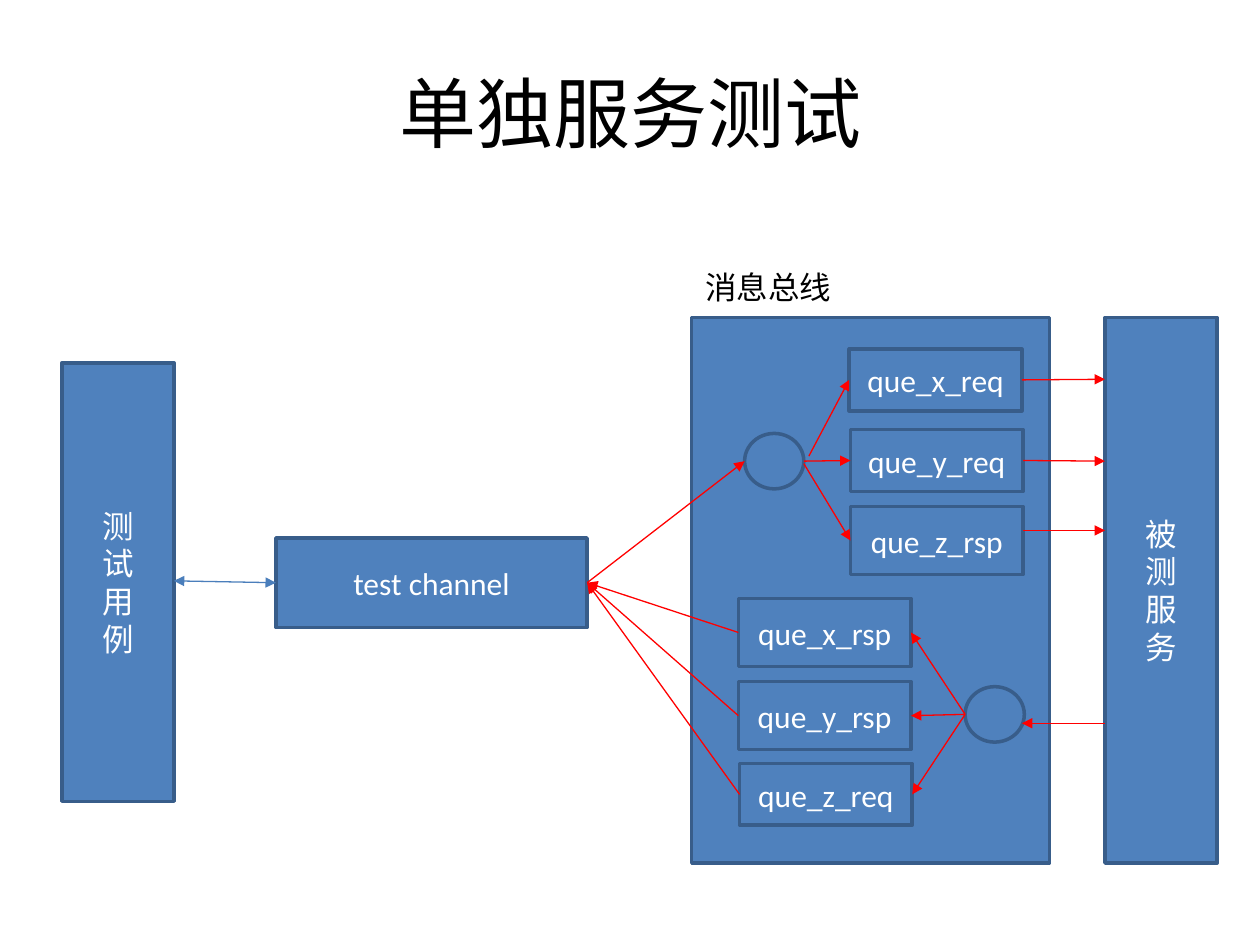
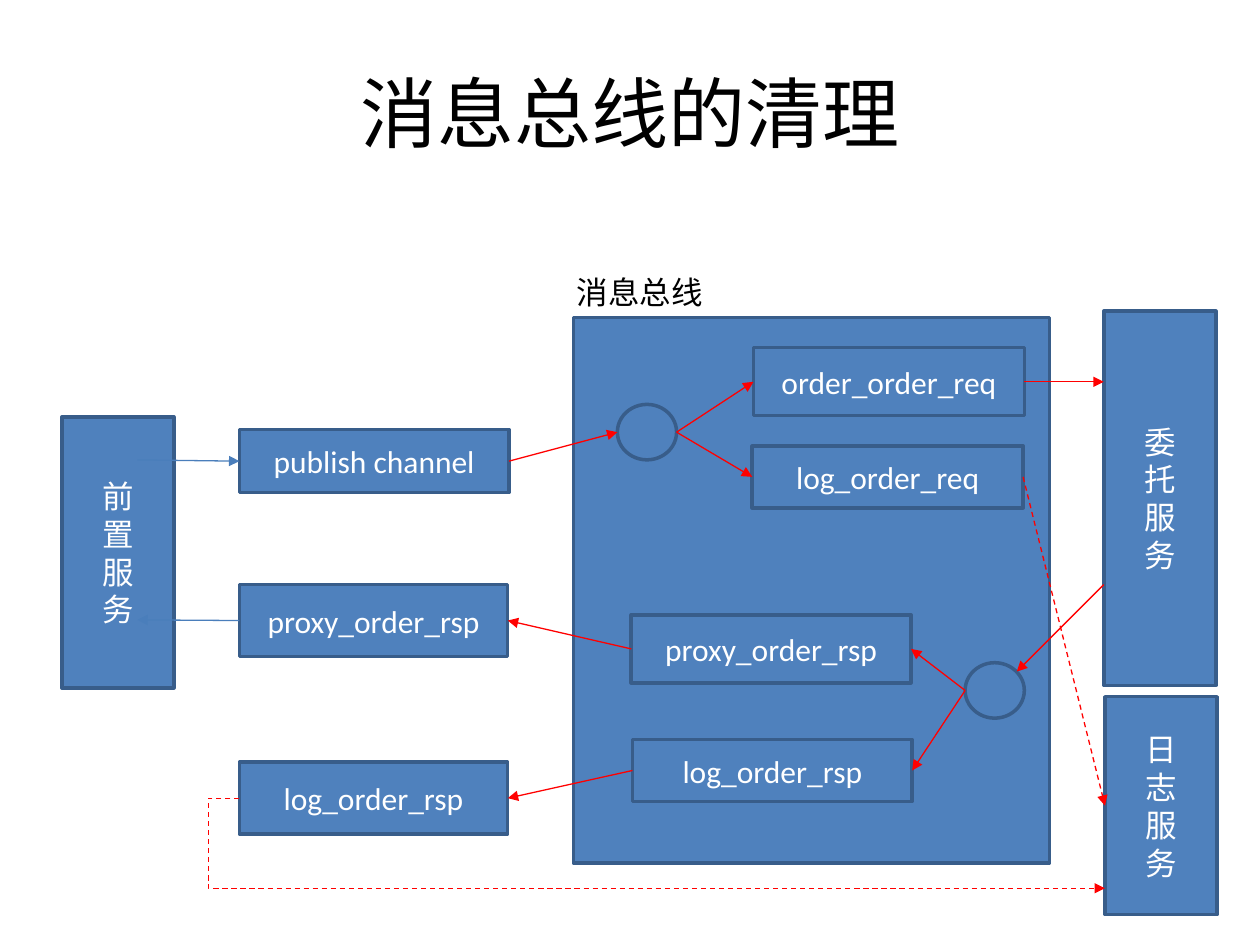
from lxml import etree
from pptx import Presentation
from pptx.dml.color import RGBColor
from pptx.enum.dml import MSO_LINE
from pptx.enum.shapes import MSO_CONNECTOR, MSO_SHAPE
from pptx.enum.text import MSO_ANCHOR, MSO_AUTO_SIZE, PP_ALIGN
from pptx.oxml.ns import qn
from pptx.util import Inches, Pt

RECT, OVAL = MSO_SHAPE.RECTANGLE, MSO_SHAPE.OVAL
LINE, BENT = MSO_CONNECTOR.STRAIGHT, MSO_CONNECTOR.ELBOW
LEFT, MID = PP_ALIGN.LEFT, PP_ALIGN.CENTER

HUES = {"fill": "4F81BD", "edge": "385D8A", "red": "FF0000",
        "blue": "4A7EBB", "white": "FFFFFF", "black": "000000"}
HEAD = (0.69, 0.3, 8.63, 1.17)
DOT = (0.47, 0.44)

SLIDES = [
    {
        "title": "单独服务测试",
        "label": ("消息总线", 5.5, 1.93),
        "boxes": {
            "bus": ("", 5.49, 2.52, 2.84, 4.33),
            "x_rsp": ("que_x_rsp", 5.86, 4.75, 1.37, 0.54),
            "y_rsp": ("que_y_rsp", 5.86, 5.41, 1.37, 0.54),
            "z_req": ("que_z_req", 5.87, 6.06, 1.37, 0.49),
            "x_req": ("que_x_req", 6.74, 2.77, 1.37, 0.49),
            "y_req": ("que_y_req", 6.75, 3.41, 1.37, 0.49),
            "z_rsp": ("que_z_rsp", 6.75, 4.02, 1.37, 0.54),
            "test": ("test channel", 2.19, 4.27, 2.47, 0.71),
            "serve": ("被\n测\n服\n务", 8.77, 2.52, 0.89, 4.33),
            "case": ("测\n试\n用\n例", 0.49, 2.88, 0.89, 3.48),
        },
        "dots": {"in": (5.91, 3.44), "out": (7.66, 5.45)},
        "links": [
            (("serve", "l", 5.74), (8.11, 5.74), "red"),
            (("x_req", "r"), ("serve", "l", 3.01), "red"),
            (("y_req", "r"), ("serve", "l", 3.66), "red"),
            (("z_rsp", "r", 4.21), ("serve", "l", 4.21), "red"),
            (("out", "l"), ("x_rsp", "r"), "red"),
            (("out", "l"), ("y_rsp", "r"), "red"),
            (("out", "l"), ("z_req", "r"), "red"),
            (("in", "r"), ("y_req", "l"), "red"),
            ((6.42, 3.62), ("x_req", "l"), "red"),
            (("in", "r", 3.68), ("z_rsp", "l"), "red"),
            (("test", "r"), ("in", "l"), "red"),
            (("x_rsp", "l"), ("test", "r"), "red"),
            (("y_rsp", "l"), ("test", "r"), "red"),
            (("z_req", "l"), ("test", "r"), "red"),
            (("case", "r", 4.61), ("test", "l"), "blue", "both"),
        ],
    },
    {
        "title": "消息总线的清理",
        "label": ("消息总线", 4.48, 1.97),
        "boxes": {
            "bus": ("", 4.55, 2.52, 3.78, 4.33),
            "proxy": ("proxy_order_rsp", 5.01, 4.88, 2.22, 0.54),
            "log": ("log_order_rsp", 5.02, 5.87, 2.22, 0.49),
            "log_req": ("log_order_req", 5.97, 3.54, 2.15, 0.49),
            "order": ("order_order_req", 5.98, 2.76, 2.15, 0.54),
            "pub": ("publish channel", 1.9, 3.41, 2.14, 0.5),
            "proxy_end": ("proxy_order_rsp", 1.9, 4.64, 2.13, 0.57),
            "log_end": ("log_order_rsp", 1.9, 6.05, 2.13, 0.57),
            "trust": ("委\n托\n服\n务", 8.76, 2.47, 0.89, 2.97),
            "front": ("前\n置\n服\n务", 0.49, 3.31, 0.89, 2.15),
            "audit": ("日\n志\n服\n务", 8.77, 5.53, 0.89, 1.73),
        },
        "dots": {"in": (4.9, 3.21), "out": (7.66, 5.26)},
        "links": [
            (("trust", "l", 4.64), (8.07, 5.33), "red"),
            (("log_req", "r"), ("audit", "l"), "red", "dash"),
            (("order", "r"), ("trust", "l", 3.03), "red"),
            (("out", "l"), ("proxy", "r"), "red"),
            (("out", "l"), ("log", "r"), "red"),
            (("pub", "r"), ("in", "l"), "red"),
            (("proxy", "l"), ("proxy_end", "r"), "red"),
            (("log", "l"), ("log_end", "r"), "red"),
            ((1.09, 3.65), ("pub", "l"), "blue"),
            (("proxy_end", "l"), (1.09, 4.92), "blue"),
            (("in", "r"), ("log_req", "l"), "red"),
            (("in", "r"), ("order", "l"), "red"),
            (("log_end", "l"), ("audit", "l", 7.05), "red", "dash", "bent"),
        ],
    },
]


def hue(name):
    return RGBColor.from_string(HUES[name])


def write(shape, text, size, color, font="Calibri", align=MID, space=None):
    frame = shape.text_frame
    for i, row in enumerate(text.split("\n")):
        para = frame.paragraphs[0] if i == 0 else frame.add_paragraph()
        para.alignment = align
        if space:
            para.line_spacing = space
        run = para.add_run()
        run.text = row
        run.font.size = Pt(size)
        run.font.name = font
        run.font.color.rgb = hue(color)


def draw(slide, kind, rect, text=""):
    shape = slide.shapes.add_shape(kind, *map(Inches, rect))
    shape.shadow.inherit = False
    shape.fill.solid()
    shape.fill.fore_color.rgb = hue("fill")
    shape.line.color.rgb = hue("edge")
    shape.line.width = Pt(2)
    shape.text_frame.vertical_anchor = MSO_ANCHOR.MIDDLE
    if text:
        write(shape, text, 18, "white")


def spot(end, rects):
    if not isinstance(end[0], str):
        return end
    x, y, w, h = rects[end[0]]
    level = end[2] if len(end) > 2 else y + h / 2
    return (x + w if end[1] == "r" else x), level


def join(slide, rects, start, stop, color, *marks):
    ends = spot(start, rects) + spot(stop, rects)
    kind = BENT if "bent" in marks else LINE
    link = slide.shapes.add_connector(kind, *map(Inches, ends))
    link.line.color.rgb = hue(color)
    link.line.width = Pt(0.75)
    if "dash" in marks:
        link.line.dash_style = MSO_LINE.DASH
    props = link.element.spPr
    etree.SubElement(props, qn("a:effectLst"))
    edge = props.find(qn("a:ln"))
    for tag in ("a:headEnd", "a:tailEnd") if "both" in marks else ("a:tailEnd",):
        etree.SubElement(edge, qn(tag), type="triangle")
    if kind == BENT:
        guide = props.find(qn("a:prstGeom")).find(qn("a:avLst"))
        etree.SubElement(guide, qn("a:gd"), name="adj1", fmla="val -3600")


def build(deck, page):
    slide = deck.slides.add_slide(deck.slide_layouts[6])
    title = slide.shapes.add_textbox(*map(Inches, HEAD))
    title.text_frame.word_wrap = True
    title.text_frame.vertical_anchor = MSO_ANCHOR.MIDDLE
    write(title, page["title"], 44, "black")

    rects = {}
    for name, (text, *rect) in page["boxes"].items():
        rects[name] = rect
        draw(slide, RECT, rect, text)
    for name, place in page["dots"].items():
        rects[name] = place + DOT
        draw(slide, OVAL, rects[name])
    for link in page["links"]:
        join(slide, rects, *link)

    text, x, y = page["label"]
    label = slide.shapes.add_textbox(*map(Inches, (x, y, 1.2, 0.55)))
    label.text_frame.word_wrap = False
    label.text_frame.auto_size = MSO_AUTO_SIZE.SHAPE_TO_FIT_TEXT
    write(label, text, 18, "black", "Arial", LEFT, 1.5)


def main():
    deck = Presentation()
    deck.slide_width, deck.slide_height = Inches(10), Inches(7.5)
    for page in SLIDES:
        build(deck, page)
    deck.save("out.pptx")


if __name__ == "__main__":
    main()
